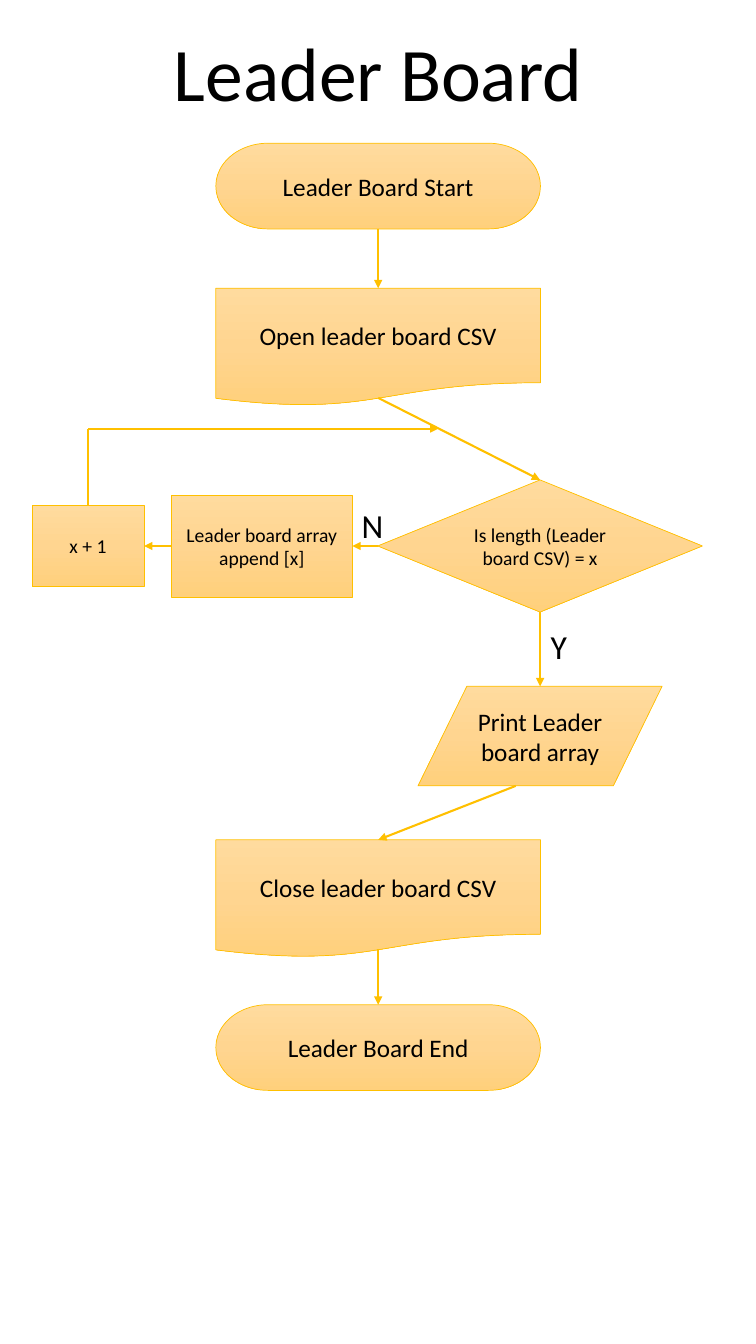
from copy import deepcopy
from dataclasses import dataclass
from typing import Optional

from lxml.etree import SubElement
from pptx import Presentation
from pptx.dml.color import RGBColor
from pptx.enum.shapes import MSO_CONNECTOR, MSO_SHAPE as Preset
from pptx.enum.text import MSO_ANCHOR, PP_ALIGN
from pptx.oxml.ns import qn
from pptx.shapes.autoshape import Shape
from pptx.shapes.connector import Connector
from pptx.slide import Slide
from pptx.text.text import TextFrame
from pptx.util import Cm, Pt

Point = tuple[float, float]


@dataclass(frozen=True)
class Theme:
    font: str = "Calibri"
    text: str = "000000"
    line: str = "FFC000"
    gradient: tuple[str, ...] = ("FFDB9E", "FFD590", "FFD07C")
    title_size: int = 54
    label_size: int = 24
    step_size: int = 18
    detail_size: int = 14
    outline_width: float = 0.5
    arrow_width: float = 1.5


THEME = Theme()
MAIN_X = 9.53
BRANCH_X = 13.61
LOOP_X = 2.22
TEST_Y = 13.76
RETURN_Y = 10.8

# Connection sites as fractions of a step's width and height.
TOP, LEFT, BOTTOM, RIGHT = range(4)
COMMON_SITES = {TOP: (0.5, 0), LEFT: (0, 0.5), BOTTOM: (0.5, 1), RIGHT: (1, 0.5)}
INPUT_TOP, INPUT_BOTTOM = 1, 3
SPECIAL_SITES = {
    Preset.FLOWCHART_DOCUMENT: {BOTTOM: (0.5, 0.93)},
    Preset.FLOWCHART_DATA: {INPUT_TOP: (0.5, 0), INPUT_BOTTOM: (0.4, 1)},
}


@dataclass(frozen=True)
class Step:
    """A flowchart symbol, placed by its centre."""
    text: str
    preset: Preset
    x: float
    y: float
    width: float
    height: float
    size: int = THEME.step_size

    def site(self, number: int) -> Point:
        sites = COMMON_SITES | SPECIAL_SITES.get(self.preset, {})
        across, down = sites[number]
        return (self.x + (across - 0.5) * self.width,
                self.y + (down - 0.5) * self.height)


@dataclass(frozen=True)
class Link:
    source: str
    source_site: int
    target: str
    target_site: int


@dataclass(frozen=True)
class Label:
    text: str
    left: float
    top: float
    width: float
    height: float


STEPS = {
    "start": Step("Leader Board Start", Preset.FLOWCHART_TERMINATOR, MAIN_X, 4.69, 8.18, 2.16),
    "open": Step("Open leader board CSV", Preset.FLOWCHART_DOCUMENT, MAIN_X, 8.75, 8.18, 2.97),
    "test": Step("Is length (Leader board CSV) = x", Preset.FLOWCHART_DECISION,
                 BRANCH_X, TEST_Y, 8.18, 3.33, THEME.detail_size),
    "append": Step("Leader board array append [x]", Preset.FLOWCHART_PROCESS,
                   6.6, TEST_Y, 4.56, 2.57, THEME.detail_size),
    "increment": Step("x + 1", Preset.FLOWCHART_PROCESS,
                      LOOP_X, TEST_Y, 2.82, 2.06, THEME.detail_size),
    "print": Step("Print Leader board array", Preset.FLOWCHART_DATA, BRANCH_X, 18.55, 6.15, 2.51),
    "close": Step("Close leader board CSV", Preset.FLOWCHART_DOCUMENT, MAIN_X, 22.65, 8.18, 2.97),
    "end": Step("Leader Board End", Preset.FLOWCHART_TERMINATOR, MAIN_X, 26.4, 8.18, 2.16),
}
LINKS = [
    Link("start", BOTTOM, "open", TOP),
    Link("open", BOTTOM, "test", TOP),
    Link("test", BOTTOM, "print", INPUT_TOP),
    Link("test", LEFT, "append", RIGHT),
    Link("append", LEFT, "increment", RIGHT),
    Link("print", INPUT_BOTTOM, "close", TOP),
    Link("close", BOTTOM, "end", TOP),
]
LABELS = [Label("Y", 13.61, 15.65, 0.94, 1.27), Label("N", 8.66, 12.6, 1.45, 1.27)]


def write_text(frame: TextFrame, text: str, size: int, wrap: bool = True) -> None:
    frame.text = text
    frame.word_wrap = wrap
    paragraph = frame.paragraphs[0]
    paragraph.alignment = PP_ALIGN.CENTER
    font = paragraph.runs[0].font
    font.name = THEME.font
    font.size = Pt(size)
    font.color.rgb = RGBColor.from_string(THEME.text)


def fill_gradient(shape: Shape) -> None:
    """Shade the shape downwards through the evenly spaced theme colours."""
    fill = shape.fill
    fill.gradient()
    fill.gradient_angle = 270
    stop_list = shape._element.spPr.find(".//" + qn("a:gsLst"))
    stop_list.append(deepcopy(stop_list[0]))
    last = len(THEME.gradient) - 1
    for index, (stop, colour) in enumerate(zip(fill.gradient_stops, THEME.gradient)):
        stop.position = index / last
        stop.color.rgb = RGBColor.from_string(colour)


def add_step(slide: Slide, step: Step) -> Shape:
    shape = slide.shapes.add_shape(
        step.preset, Cm(step.x - step.width / 2), Cm(step.y - step.height / 2),
        Cm(step.width), Cm(step.height))
    shape.shadow.inherit = False
    fill_gradient(shape)
    shape.line.color.rgb = RGBColor.from_string(THEME.line)
    shape.line.width = Pt(THEME.outline_width)
    shape.text_frame.vertical_anchor = MSO_ANCHOR.MIDDLE
    write_text(shape.text_frame, step.text, step.size)
    return shape


def place_line(connector: Connector, start: Point, end: Point) -> None:
    connector.begin_x, connector.begin_y = map(Cm, start)
    connector.end_x, connector.end_y = map(Cm, end)


def add_line(slide: Slide, start: Point, end: Point, arrow: bool = True) -> Connector:
    connector = slide.shapes.add_connector(
        MSO_CONNECTOR.STRAIGHT, *map(Cm, start), *map(Cm, end))
    connector.line.color.rgb = RGBColor.from_string(THEME.line)
    connector.line.width = Pt(THEME.arrow_width)
    if arrow:
        SubElement(connector.line._get_or_add_ln(), qn("a:tailEnd"), type="triangle")
    SubElement(connector._element.spPr, qn("a:effectLst"))
    return connector


def add_link(slide: Slide, link: Link, shapes: dict[str, Shape]) -> None:
    """Glue an arrow to both steps, ending exactly on their sites."""
    start = STEPS[link.source].site(link.source_site)
    end = STEPS[link.target].site(link.target_site)
    connector = add_line(slide, start, end)
    connector.begin_connect(shapes[link.source], link.source_site)
    connector.end_connect(shapes[link.target], link.target_site)
    place_line(connector, start, end)


def add_label(slide: Slide, label: Label) -> None:
    box = slide.shapes.add_textbox(
        Cm(label.left), Cm(label.top), Cm(label.width), Cm(label.height))
    write_text(box.text_frame, label.text, THEME.label_size)


def set_title(slide: Slide, text: str) -> None:
    title = slide.shapes.title
    title.left, title.top, title.width, title.height = Cm(4.07), Cm(0.5), Cm(10.92), Cm(2.57)
    write_text(title.text_frame, text, THEME.title_size, wrap=False)


def main() -> None:
    presentation = Presentation()
    presentation.slide_width, presentation.slide_height = Cm(19.05), Cm(33.87)
    slide = presentation.slides.add_slide(presentation.slide_layouts[5])
    set_title(slide, "Leader Board")
    shapes = {name: add_step(slide, step) for name, step in STEPS.items()}
    for link in LINKS:
        add_link(slide, link, shapes)
    corner = (LOOP_X, RETURN_Y)
    add_line(slide, STEPS["increment"].site(TOP), corner, arrow=False)
    add_line(slide, corner, (11.05, RETURN_Y))
    for label in LABELS:
        add_label(slide, label)
    presentation.save("out.pptx")


if __name__ == "__main__":
    main()
